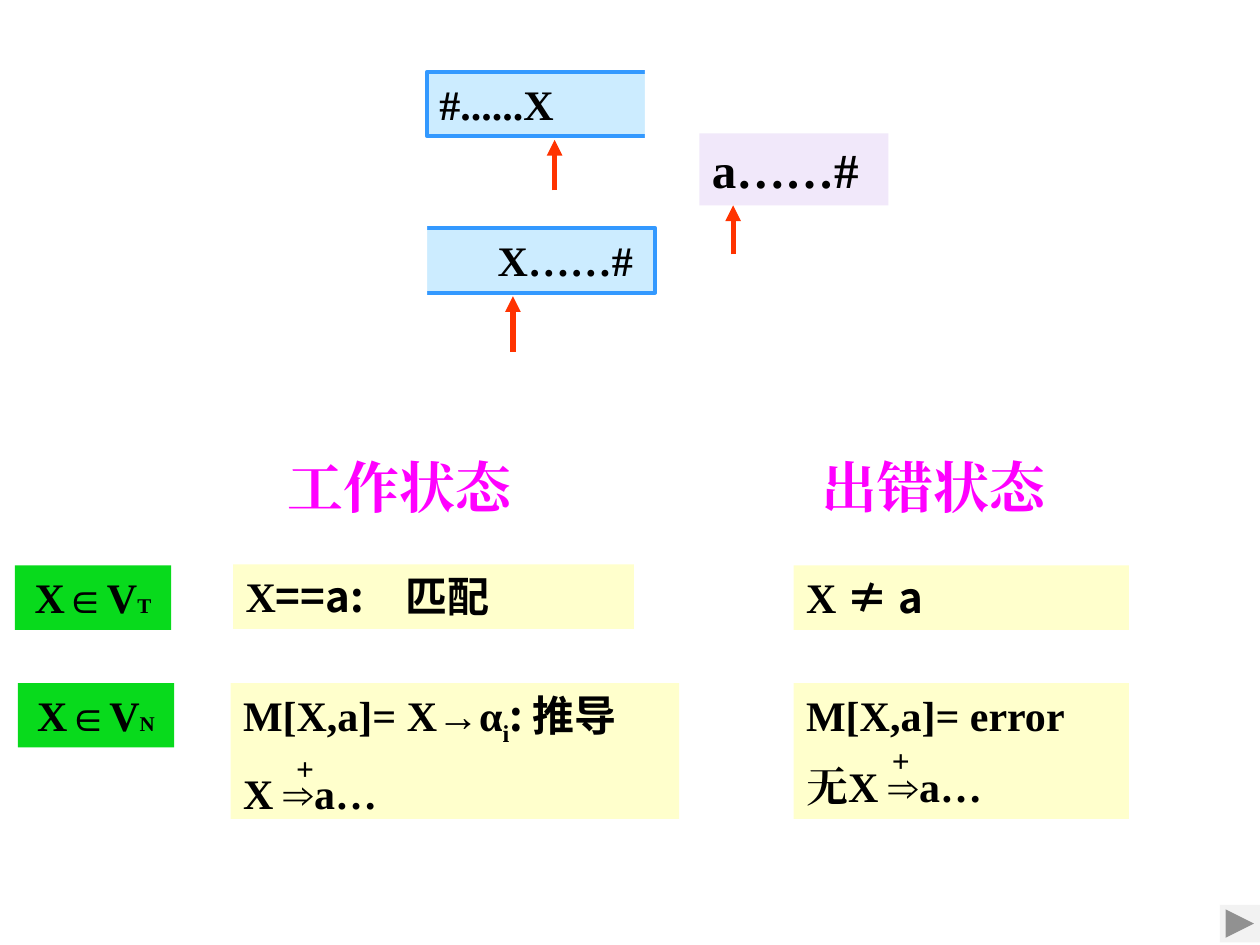
from lxml import etree
from pptx import Presentation
from pptx import util as u
from pptx.dml.color import RGBColor
from pptx.enum import shapes, text
from pptx.oxml.ns import qn

COLORS = {
    "black": "000000", "white": "FFFFFF", "magenta": "FF00FF",
    "yellow": "FFFFCC", "green": "08DA1C", "lilac": "F1E8FA",
    "sky": "CCECFF", "blue": "3399FF", "red": "FF3300", "gray": "F2F2F2",
}
SERIF = "Times New Roman"
SANS = "Noto Sans CJK SC"


def rgb(name):
    return RGBColor.from_string(COLORS[name])


def add_run(paragraph, content, size=24, font=SERIF, color="black", baseline=None):
    run = paragraph.add_run()
    run.text = content
    run.font.size = u.Pt(size)
    run.font.bold = True
    run.font.name = font
    run.font.color.rgb = rgb(color)
    properties = run._r.get_or_add_rPr()
    etree.SubElement(properties, qn("a:ea")).set("typeface", font)
    if baseline:
        properties.set("baseline", str(baseline))


def add_text(slide, box, *lines, fill=None, outline=None, align=None, wrap=True,
             inset=(0.25, 0.13), indent=0, **run_format):
    """Each line is a list of (content, format overrides) runs or a plain string."""
    shape = slide.shapes.add_textbox(*map(u.Cm, box))
    if fill:
        shape.fill.solid()
        shape.fill.fore_color.rgb = rgb(fill)
    if outline:
        shape.line.color.rgb = rgb(outline)
        shape.line.width = u.Pt(2.25)
    frame = shape.text_frame
    frame.word_wrap = wrap
    frame.margin_left = u.Cm(inset[0] + indent)
    frame.margin_right = u.Cm(inset[0])
    frame.margin_top = frame.margin_bottom = u.Cm(inset[1])
    for index, line in enumerate(lines):
        paragraph = frame.add_paragraph() if index else frame.paragraphs[0]
        paragraph.alignment = align
        if index:
            paragraph.space_before = u.Pt(12)
        runs = [(line, {})] if isinstance(line, str) else line
        for content, overrides in runs:
            add_run(paragraph, content, **{**run_format, **overrides})


def add_block(slide, kind, box, fill):
    shape = slide.shapes.add_shape(kind, *map(u.Cm, box))
    shape.shadow.inherit = False
    shape.fill.solid()
    shape.fill.fore_color.rgb = rgb(fill)
    shape.line.fill.background()


def add_up_arrow(slide, x, bottom, top):
    arrow = slide.shapes.add_connector(
        shapes.MSO_CONNECTOR.STRAIGHT, u.Cm(x), u.Cm(bottom), u.Cm(x), u.Cm(top))
    arrow.line.color.rgb = rgb("red")
    arrow.line.width = u.Pt(3)
    etree.SubElement(arrow.line._get_or_add_ln(), qn("a:tailEnd")).set("type", "triangle")
    etree.SubElement(arrow._element.spPr, qn("a:effectLst"))


def add_stacks_and_input(slide):
    """Draw the stacks, each open on the side hidden by a white cover, and the input."""
    rectangle = shapes.MSO_SHAPE.RECTANGLE
    stack = {"fill": "sky", "outline": "blue"}
    add_text(slide, (14.1, 2.69, 3.81, 1.45), "a……#", fill="lilac", size=28)
    add_text(slide, (8.61, 1.45, 4.6, 1.3), "#......X", **stack)
    add_block(slide, rectangle, (13, 1.35, 1.09, 1.75), "white")
    add_text(slide, (8.08, 4.6, 5.13, 1.3), "X……#", indent=1.7, **stack)
    add_block(slide, rectangle, (8.03, 4.39, 0.58, 1.6), "white")
    for x, bottom, top in ((11.18, 3.84, 2.82), (10.34, 7.09, 5.97), (14.78, 5.13, 4.14)):
        add_up_arrow(slide, x, bottom, top)


def add_states(slide):
    heading = {"size": 32, "color": "magenta"}
    add_text(slide, (5.54, 8.99, 5.79, 1.63), "工作状态", **heading)
    add_text(slide, (16.31, 8.99, 5.11, 1.63), "出错状态", wrap=False, **heading)

    for left, top, subscript in ((0.3, 11.4, "T"), (0.36, 13.77, "N")):
        add_text(slide, (left, top, 3.15, 1.3), [("X∈V", {}), (subscript, {"size": 12})],
                 fill="green", align=text.PP_ALIGN.CENTER)

    sans = {"font": SANS}
    add_text(slide, (4.7, 11.38, 8.08, 1.3), [("X", {}), ("==a:\u3000匹配".replace("\u3000", "　"), sans)],
             fill="yellow")
    add_text(slide, (16, 11.4, 6.76, 1.3), [("X ", {}), ("≠ a", sans)], fill="yellow")
    add_text(slide, (4.65, 13.77, 9.04, 2.74),
             [("M[X,a]= X→α", {}), ("i", {"baseline": -25000}), (": 推导", sans)],
             "X ⇒a…", fill="yellow")
    add_text(slide, (5.72, 14.96, 0.61, 0.94), "+", size=18, wrap=False)
    add_text(slide, (16, 13.77, 6.76, 2.74), "M[X,a]= error", "无X ⇒a…", fill="yellow")
    add_text(slide, (17.98, 14.94, 0.74, 0.76), "+", size=18, fill="yellow", inset=(0, 0))


def main():
    presentation = Presentation()
    presentation.slide_width = u.Cm(25.4)
    presentation.slide_height = u.Cm(19.05)
    slide = presentation.slides.add_slide(presentation.slide_layouts[6])
    add_stacks_and_input(slide)
    add_states(slide)
    add_block(slide, shapes.MSO_SHAPE.ACTION_BUTTON_FORWARD_OR_NEXT,
              (24.59, 18.24, 0.81, 0.76), "gray")
    presentation.save("out.pptx")


if __name__ == "__main__":
    main()
